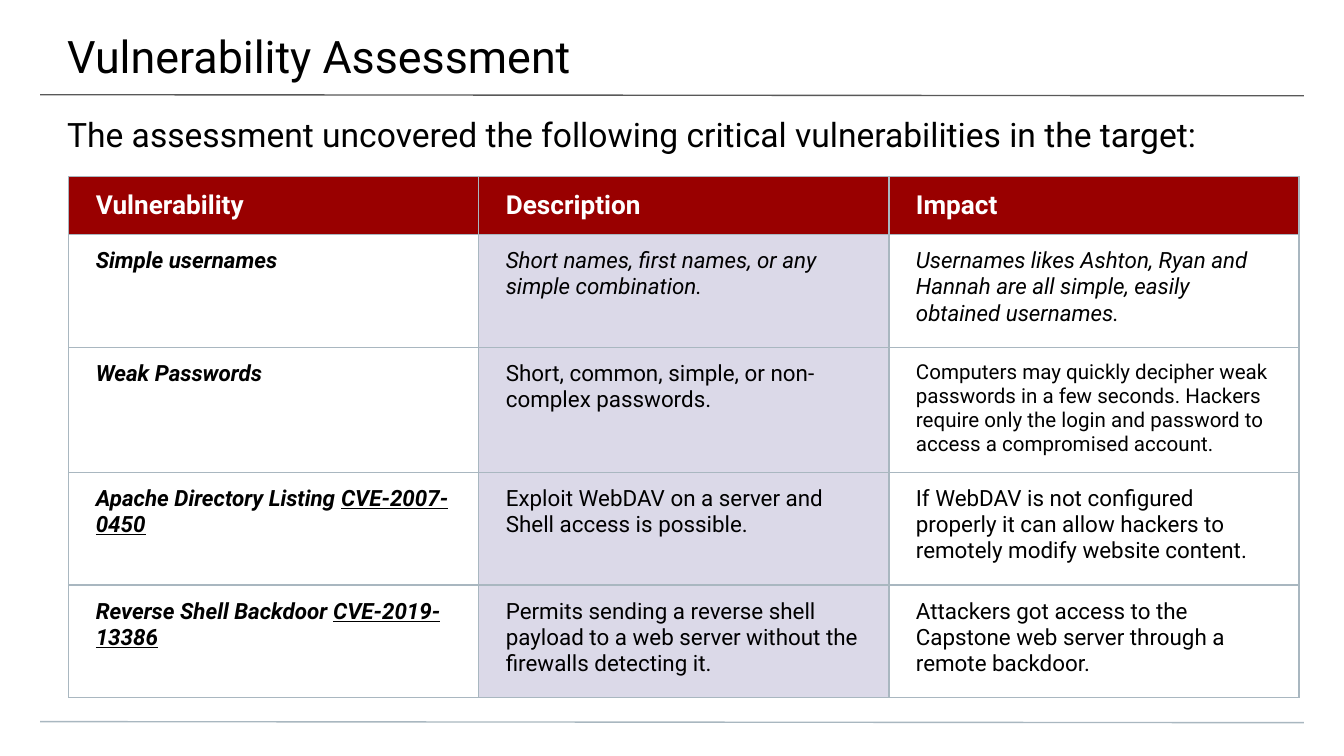
from lxml import etree
from pptx import Presentation
from pptx.dml.color import RGBColor
from pptx.enum.shapes import MSO_CONNECTOR
from pptx.enum.text import MSO_ANCHOR
from pptx.oxml import parse_xml
from pptx.oxml.ns import nsdecls, qn
from pptx.util import Cm, Pt

STRAIGHT = MSO_CONNECTOR.STRAIGHT
TOP, MIDDLE = MSO_ANCHOR.TOP, MSO_ANCHOR.MIDDLE

BLACK = RGBColor(0x00, 0x00, 0x00)
WHITE = RGBColor(0xFF, 0xFF, 0xFF)
RED = RGBColor(0x99, 0x00, 0x00)
LAVENDER = RGBColor(0xDB, 0xD9, 0xE8)
GRAY = RGBColor(0x59, 0x59, 0x59)
BLUE_GRAY = RGBColor(0xA9, 0xB7, 0xC0)

FONT = "Roboto"
RULE_WIDTH = Pt(0.75)

HEADERS = ["Vulnerability", "Description", "Impact"]
# Name, CVE number, description, impact
VULNERABILITIES = [
    ("Simple usernames", "",
     "Short names, first names, or any simple combination.",
     "Usernames likes Ashton, Ryan and Hannah are all simple, easily obtained usernames."),
    ("Weak Passwords", "",
     "Short, common, simple, or non-complex passwords.",
     "Computers may quickly decipher weak passwords in a few seconds. Hackers require "
     "only the login and password to access a compromised account."),
    ("Apache Directory Listing ", "CVE-2007-0450",
     "Exploit WebDAV on a server and Shell access is possible.",
     "If WebDAV is not configured properly it can allow hackers to remotely modify "
     "website content."),
    ("Reverse Shell Backdoor ", "CVE-2019-13386",
     "Permits sending a reverse shell payload to a web server without the firewalls "
     "detecting it.",
     "Attackers got access to the Capstone web server through a remote backdoor."),
]


def add_run(p, text, size, color=BLACK, bold=False, italic=False, underline=False):
    r = p.add_run()
    r.text = text
    font = r.font
    font.name, font.size, font.color.rgb = FONT, Pt(size), color
    font.bold, font.italic, font.underline = bold, italic, underline


def add_heading(s, text, top, height, size, inset_top):
    sp = s.shapes.add_textbox(Cm(0), Cm(top), Cm(25.4), Cm(height))
    tf = sp.text_frame
    tf.word_wrap = True
    tf.margin_left, tf.margin_right = Cm(1.27), Cm(0.76)
    tf.margin_top, tf.margin_bottom = Cm(inset_top), Cm(0)
    add_run(tf.paragraphs[0], text, size)


def add_rule(s, y, color):
    line = s.shapes.add_connector(STRAIGHT, Cm(0.76), Cm(y), Cm(24.64), Cm(y + 0.02))
    line.line.color.rgb = color
    line.line.width = RULE_WIDTH
    etree.SubElement(line._element.spPr, qn("a:effectLst"))


def format_cell(cell, fill=None, anchor=TOP):
    """Set insets, fill and a thin border on all four sides."""
    cell.margin_left = cell.margin_right = Cm(0.51)
    cell.margin_top = cell.margin_bottom = Cm(0.25)
    cell.vertical_anchor = anchor
    if fill is None:
        cell.fill.background()
    else:
        cell.fill.solid()
        cell.fill.fore_color.rgb = fill
    tc_pr = cell._tc.get_or_add_tcPr()
    for i, side in enumerate("LRTB"):
        tc_pr.insert(i, parse_xml(
            f'<a:ln{side} {nsdecls("a")} w="{RULE_WIDTH}"><a:solidFill>'
            f'<a:srgbClr val="{BLUE_GRAY}"/></a:solidFill></a:ln{side}>'))


def add_vulnerability_table(s):
    frame = s.shapes.add_table(len(VULNERABILITIES) + 1, len(HEADERS),
                               Cm(1.3), Cm(3.34), Cm(23.25), Cm(9.8))
    table = frame.table
    for column in table.columns:
        column.width = Cm(7.75)
    for row, height in zip(table.rows, [1.09, 2.13, 2.32, 2.13, 2.13]):
        row.height = Cm(height)

    for col, header in enumerate(HEADERS):
        cell = table.cell(0, col)
        format_cell(cell, RED, MIDDLE)
        add_run(cell.text_frame.paragraphs[0], header, 14, WHITE, bold=True)

    for row, (name, cve, description, impact) in enumerate(VULNERABILITIES, 1):
        cells = [table.cell(row, col) for col in range(len(HEADERS))]
        for cell, fill in zip(cells, [None, LAVENDER, None]):
            format_cell(cell, fill)
        name_p, description_p, impact_p = [c.text_frame.paragraphs[0] for c in cells]
        add_run(name_p, name, 12, bold=True, italic=True)
        if cve:
            add_run(name_p, cve, 12, bold=True, italic=True, underline=True)
        italic = row == 1
        add_run(description_p, description, 12, italic=italic)
        add_run(impact_p, impact, 11 if len(impact) > 100 else 12, italic=italic)


def main():
    prs = Presentation()
    prs.slide_width, prs.slide_height = Cm(25.4), Cm(14.29)
    s = prs.slides.add_slide(prs.slide_layouts[6])
    add_rule(s, 1.79, GRAY)
    add_rule(s, 13.64, BLUE_GRAY)
    add_heading(s, "Vulnerability Assessment", 0, 1.48, 24, 0.55)
    add_heading(s, "The assessment uncovered the following critical vulnerabilities "
                   "in the target:", 1.88, 1.02, 18, 0.27)
    add_vulnerability_table(s)
    prs.save("out.pptx")


if __name__ == "__main__":
    main()
